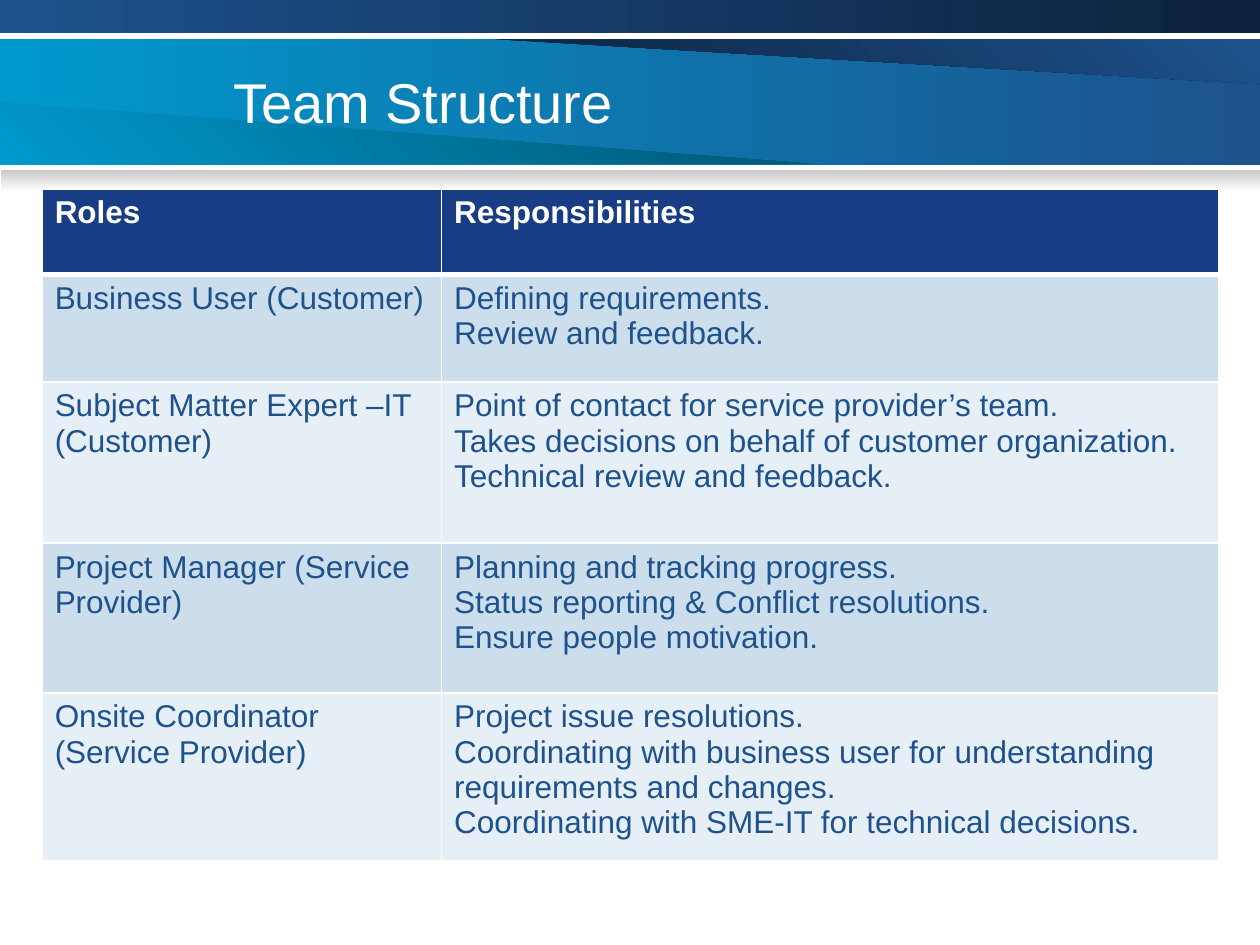
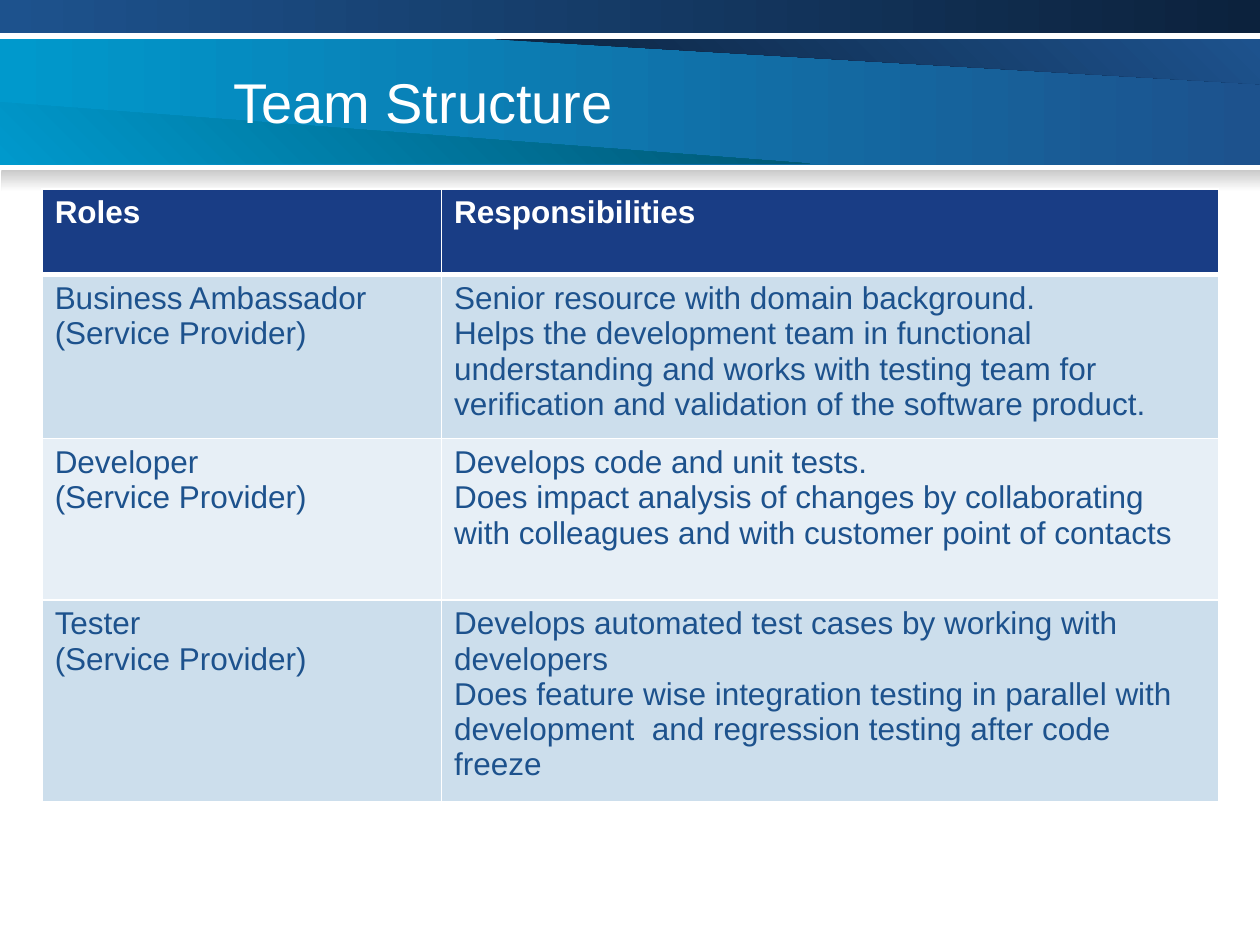
from dataclasses import dataclass

from lxml import etree
from pptx import Presentation
from pptx import util as u
from pptx.dml.color import RGBColor
from pptx.enum import shapes, text
from pptx.oxml import ns

FONT = "Arial"
WHITE, NAVY, BLUE, CYAN = "FFFFFF", "193D85", "1D528D", "0099CC"
MIDNIGHT, TEAL, SHADE = "0C223D", "005470", "CACACA"
STRIPES = ("CCDEEC", "E7EFF6")
COLUMN_WIDTHS = (8.05, 15.66)
HEADER_HEIGHT = 1.73
HEADINGS = ("Roles", ["Responsibilities"])


@dataclass(frozen=True)
class Band:
    """A rectangle, or the polygon through its corners, with a gradient; lengths in cm."""
    corners: tuple
    start: str
    end: str
    angle: int = 0


@dataclass(frozen=True)
class Role:
    """A table row: a role, its duties and the row height in cm."""
    name: str
    duties: list
    height: float


BANDS = (
    Band(((0, 0.79), (25.4, 3.33)), CYAN, BLUE),
    Band(((9.98, 0.79), (25.4, 1.7), (25.4, 0.79)), MIDNIGHT, BLUE, 45),
    Band(((0, 2.06), (16.33, 3.3), (0, 3.3)), CYAN, TEAL, 45),
    Band(((0, 0), (25.4, 0.66)), BLUE, MIDNIGHT),
    Band(((0.03, 3.43), (25.4, 3.86)), SHADE, WHITE, 270),
)

TEAMS = (
    (
        Role("Business User (Customer)",
             ["Defining requirements.", "Review and feedback."], 2.16),
        Role("Subject Matter Expert –IT (Customer)",
             ["Point of contact for service provider’s team.",
              "Takes decisions on behalf of customer organization.",
              "Technical review and feedback."], 3.25),
        Role("Project Manager (Service Provider)",
             ["Planning and tracking progress.",
              "Status reporting & Conflict resolutions.",
              "Ensure people motivation."], 3.02),
        Role("Onsite Coordinator (Service Provider)",
             ["Project issue resolutions.",
              "Coordinating with business user for understanding",
              "requirements and changes.",
              "Coordinating with SME-IT for technical decisions."], 3.38),
    ),
    (
        Role("Business Ambassador (Service Provider)",
             ["Senior resource with domain background.",
              "Helps the development team in functional understanding and works with "
              "testing team for verification and validation of the software product."], 3.09),
        Role("Developer\v(Service Provider)",
             ["Develops code and unit tests.",
              "Does impact analysis of changes by collaborating with colleagues "
              "and with customer point of contacts"], 3.25),
        Role("Tester\v(Service Provider)",
             ["Develops automated test cases by working with developers",
              "Does feature wise integration testing in parallel with",
              "development  and regression testing after code freeze"], 3.8),
    ),
)


def rgb(value: str) -> RGBColor:
    """Turn a hex string into a colour."""
    return RGBColor.from_string(value)


def write(frame, lines: list, *, size: float = 18, color: str = BLUE, bold: bool = False) -> None:
    """Write one paragraph per line in the given format."""
    frame.word_wrap = True
    for number, line in enumerate(lines):
        paragraph = frame.add_paragraph() if number else frame.paragraphs[0]
        paragraph.text = line
        for run in paragraph.runs:
            run.font.name, run.font.size = FONT, u.Pt(size)
            run.font.bold, run.font.color.rgb = bold, rgb(color)


def draw_band(slide, band: Band) -> None:
    """Draw one gradient band of the slide header."""
    first, *others = [(u.Cm(x), u.Cm(y)) for x, y in band.corners]
    if len(others) == 1:
        (left, top), (right, bottom) = first, others[0]
        strip = slide.shapes.add_shape(
            shapes.MSO_SHAPE.RECTANGLE, left, top, right - left, bottom - top)
    else:
        outline = slide.shapes.build_freeform(*first)
        outline.add_line_segments(others)
        strip = outline.convert_to_shape()
    strip.shadow.inherit = False
    strip.line.fill.background()
    strip.fill.gradient()
    strip.fill.gradient_angle = band.angle
    for stop, color in zip(strip.fill.gradient_stops, (band.start, band.end)):
        stop.color.rgb = rgb(color)


def draw_title(slide, title: str) -> None:
    """Write the slide title over the bands."""
    heading = slide.shapes.add_textbox(u.Cm(4.45), u.Cm(0.84), u.Cm(20.95), u.Cm(2.41))
    heading.text_frame.vertical_anchor = text.MSO_ANCHOR.MIDDLE
    write(heading.text_frame, [title], size=32, color=WHITE)


def border(cell, **widths: float) -> None:
    """Give a cell white borders, with widths in points by side."""
    properties = cell._tc.get_or_add_tcPr()
    for side, width in widths.items():
        edge = etree.SubElement(properties, ns.qn(f"a:ln{side}"), w=str(u.Pt(width)))
        fill = etree.SubElement(edge, ns.qn("a:solidFill"))
        etree.SubElement(fill, ns.qn("a:srgbClr"), val=WHITE)


def draw_roles(slide, team: tuple) -> None:
    """Draw the table of roles and responsibilities."""
    rows = (Role(*HEADINGS, HEADER_HEIGHT), *team)
    height = sum(role.height for role in rows)
    roles = slide.shapes.add_table(
        len(rows), 2, u.Cm(0.85), u.Cm(3.81), u.Cm(sum(COLUMN_WIDTHS)), u.Cm(height)).table
    for column, width in zip(roles.columns, COLUMN_WIDTHS):
        column.width = u.Cm(width)
    for number, role in enumerate(rows):
        roles.rows[number].height = u.Cm(role.height)
        header = number == 0
        for column, lines in enumerate(([role.name], role.duties)):
            cell = roles.cell(number, column)
            border(cell, L=1, R=1, T=3 if number == 1 else 1, B=3 if header else 1)
            cell.fill.solid()
            cell.fill.fore_color.rgb = rgb(NAVY if header else STRIPES[(number - 1) % 2])
            write(cell.text_frame, lines, color=WHITE if header else BLUE, bold=header)


def main() -> None:
    """Build and save the presentation."""
    deck = Presentation()
    deck.slide_width, deck.slide_height = u.Cm(25.4), u.Cm(19.05)
    for team in TEAMS:
        slide = deck.slides.add_slide(deck.slide_layouts[6])
        for band in BANDS:
            draw_band(slide, band)
        draw_title(slide, "Team Structure")
        draw_roles(slide, team)
    deck.save("out.pptx")


if __name__ == "__main__":
    main()
